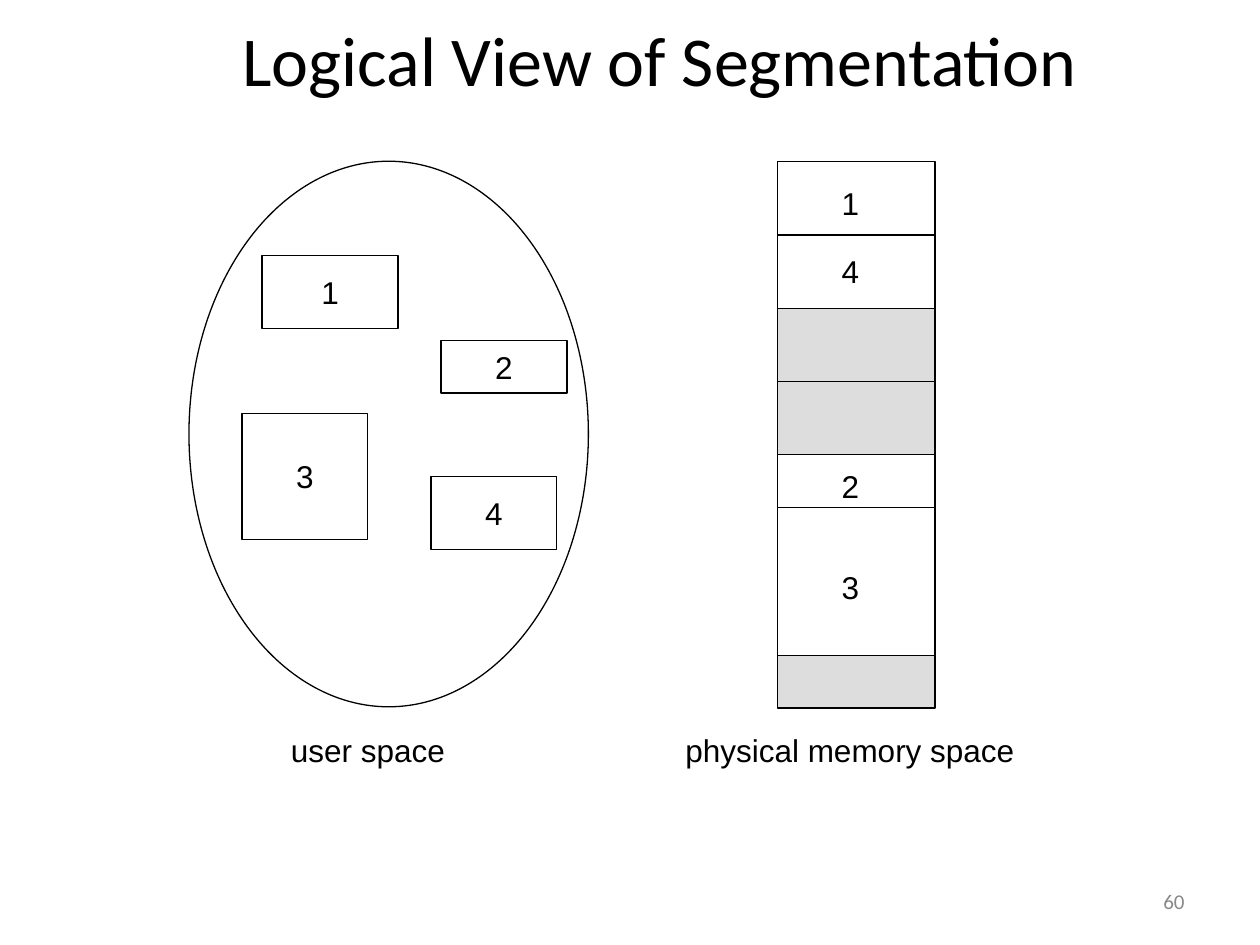
from dataclasses import dataclass
from typing import Any, Optional

from lxml import etree
from pptx import Presentation
from pptx.dml.color import RGBColor
from pptx.enum.shapes import MSO_CONNECTOR, MSO_SHAPE
from pptx.enum.text import MSO_ANCHOR, MSO_AUTO_SIZE, PP_ALIGN
from pptx.oxml.ns import qn
from pptx.util import Pt

RECT, OVAL = MSO_SHAPE.RECTANGLE, MSO_SHAPE.OVAL
STRAIGHT = MSO_CONNECTOR.STRAIGHT
MIDDLE = MSO_ANCHOR.MIDDLE
NO_FIT = MSO_AUTO_SIZE.NONE
CENTER, RIGHT = PP_ALIGN.CENTER, PP_ALIGN.RIGHT
LEFT_SIDE, RIGHT_SIDE = 1, 3
EMU_PER_PX = 9144


@dataclass(frozen=True)
class Theme:
    ink: RGBColor = RGBColor(0x00, 0x00, 0x00)
    paper: RGBColor = RGBColor(0xFF, 0xFF, 0xFF)
    free: RGBColor = RGBColor(0xDD, 0xDD, 0xDD)
    muted: RGBColor = RGBColor(0x89, 0x89, 0x89)
    heading_font: str = "Calibri"
    body_font: str = "Arial"
    title_size: int = 40
    body_size: int = 18
    number_size: int = 12
    line_width: float = 0.75


@dataclass(frozen=True)
class Box:
    x: int
    y: int
    w: int
    h: int

    def emu(self) -> list[int]:
        return [px(v) for v in (self.x, self.y, self.w, self.h)]


@dataclass(frozen=True)
class Segment:
    label: str
    box: Box


@dataclass(frozen=True)
class Block:
    top: int
    bottom: int
    fill: RGBColor
    divider: Optional[int] = None


THEME = Theme()
MEMORY_X, MEMORY_W = 617, 125
LABEL_X, LABEL_W, LABEL_H = 658, 34, 40

SEGMENTS = [
    Segment("1", Box(208, 203, 108, 58)),
    Segment("3", Box(192, 328, 100, 100)),
    Segment("2", Box(350, 270, 100, 42)),
    Segment("4", Box(342, 378, 100, 58)),
]
BLOCKS = [
    Block(128, 245, THEME.paper, 186),
    Block(245, 361, THEME.free, 303),
    Block(361, 520, THEME.paper, 403),
    Block(520, 562, THEME.free),
]
MEMORY_LABELS = {"1": 141, "4": 195, "2": 366, "3": 446}
CAPTIONS = [
    Segment("user space ", Box(221, 575, 149, 40)),
    Segment("physical memory space", Box(534, 575, 281, 40)),
]


def px(value: int) -> int:
    return value * EMU_PER_PX


def write(sp: Any, text: str, size: int = THEME.body_size,
          font: str = THEME.body_font, color: RGBColor = THEME.ink,
          align: PP_ALIGN = CENTER, wrap: bool = False) -> None:
    tf = sp.text_frame
    tf.auto_size = NO_FIT
    tf.word_wrap = wrap
    tf.vertical_anchor = MIDDLE
    p = tf.paragraphs[0]
    p.alignment = align
    r = p.add_run()
    r.text = text
    r.font.size = Pt(size)
    r.font.name = font
    r.font.color.rgb = color


def add_outline(s: Any, kind: MSO_SHAPE, box: Box,
                fill: RGBColor = THEME.paper) -> Any:
    sp = s.shapes.add_shape(kind, *box.emu())
    sp.shadow.inherit = False
    sp.fill.solid()
    sp.fill.fore_color.rgb = fill
    sp.line.color.rgb = THEME.ink
    sp.line.width = Pt(THEME.line_width)
    return sp


def add_label(s: Any, label: Segment) -> None:
    write(s.shapes.add_textbox(*label.box.emu()), label.label)


def add_block(s: Any, block: Block) -> None:
    height = block.bottom - block.top
    sp = add_outline(s, RECT, Box(MEMORY_X, block.top, MEMORY_W, height), block.fill)
    if block.divider is None:
        return
    y = px(block.divider)
    line = s.shapes.add_connector(STRAIGHT, px(MEMORY_X), y, px(MEMORY_X + MEMORY_W), y)
    if block.divider == block.top + height // 2:
        line.begin_connect(sp, LEFT_SIDE)
        line.end_connect(sp, RIGHT_SIDE)
    line.line.color.rgb = THEME.ink
    line.line.width = Pt(THEME.line_width)
    etree.SubElement(line._element.spPr, qn("a:effectLst"))


def main() -> None:
    prs = Presentation()
    prs.slide_width, prs.slide_height = px(1000), px(750)
    s = prs.slides.add_slide(prs.slide_layouts[5])

    title = s.shapes.title
    title.left, title.top, title.width, title.height = Box(97, 15, 853, 63).emu()
    write(title, "Logical View of Segmentation", THEME.title_size,
          THEME.heading_font, wrap=True)

    add_outline(s, OVAL, Box(150, 128, 317, 433))
    for segment in SEGMENTS:
        write(add_outline(s, RECT, segment.box), segment.label)

    for block in BLOCKS:
        add_block(s, block)
    for text, y in MEMORY_LABELS.items():
        add_label(s, Segment(text, Box(LABEL_X, y, LABEL_W, LABEL_H)))
    for caption in CAPTIONS:
        add_label(s, caption)

    number = s.shapes.add_textbox(*Box(717, 695, 233, 40).emu())
    write(number, "60", THEME.number_size, THEME.heading_font, THEME.muted,
          RIGHT, wrap=True)

    prs.save("out.pptx")


if __name__ == "__main__":
    main()
